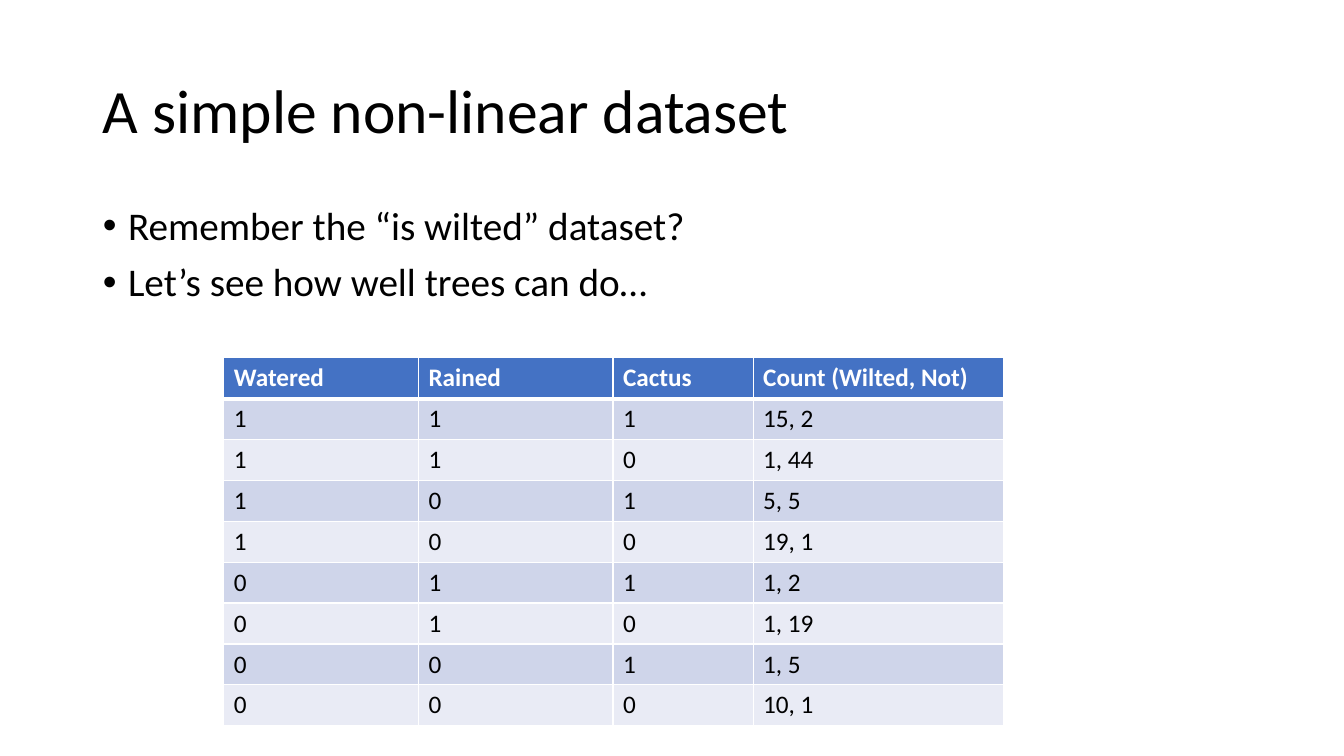
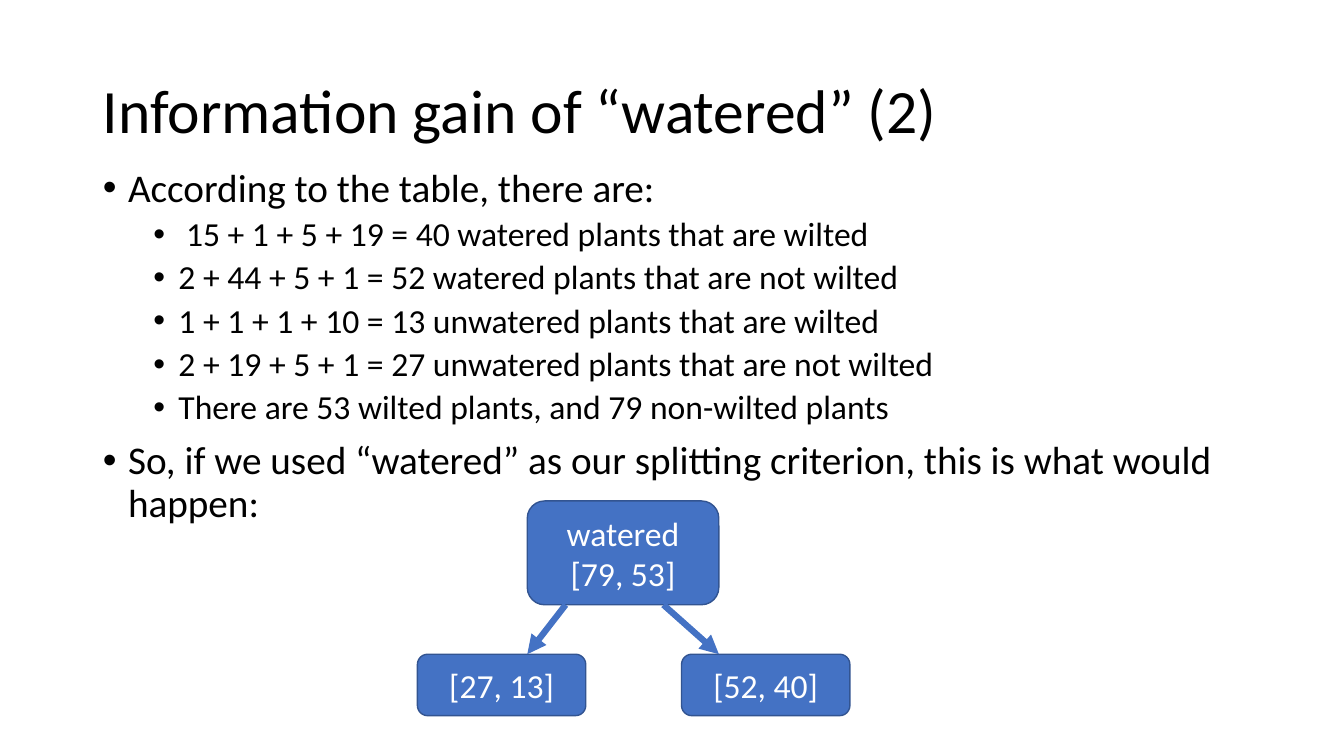
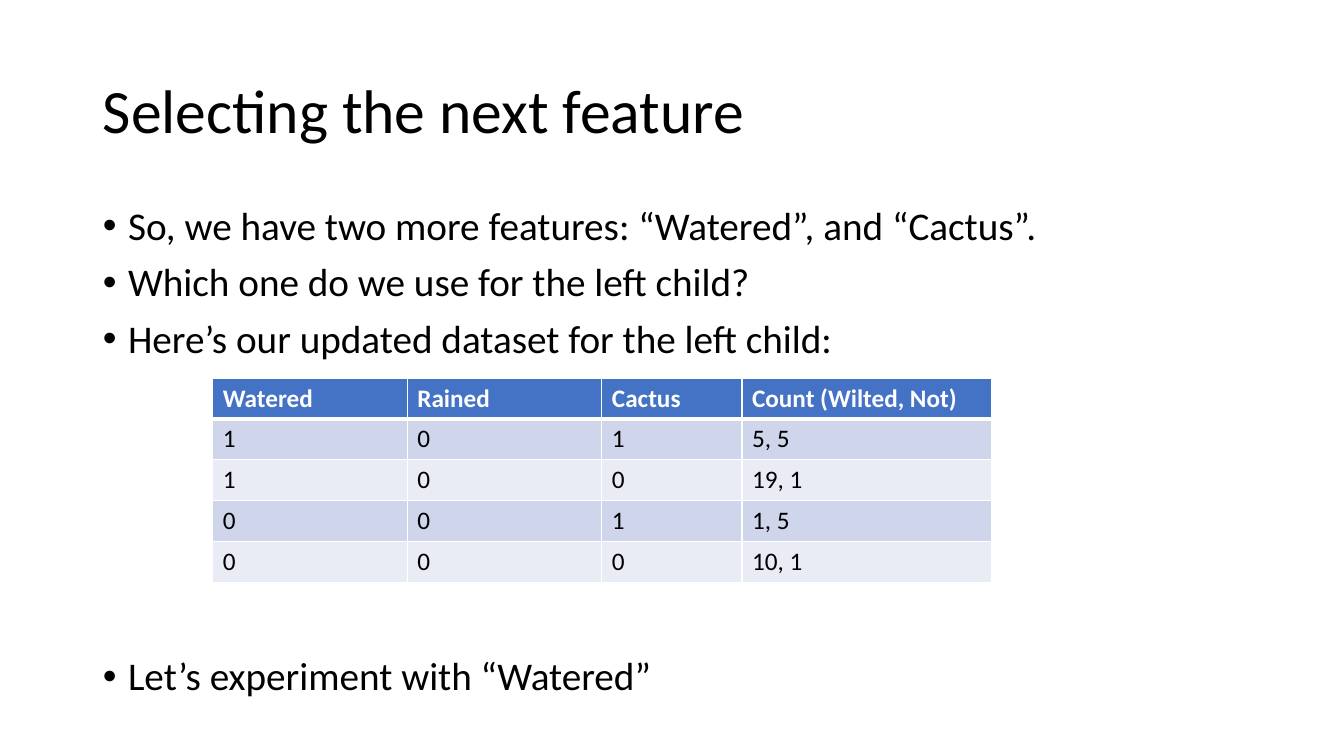
"""Build three slides on splitting the wilted-plant dataset with a decision tree."""
import pptx
import pptx.dml.color
import pptx.enum.shapes
import pptx.enum.text
import pptx.oxml
import pptx.oxml.ns
import pptx.util
from pptx.util import Inches, Pt

FONT = "Calibri"
BLACK, WHITE, BLUE, DARK_BLUE = "000000", "FFFFFF", "4472C4", "325491"
BANDS = ["CFD5EA", "E9EBF5"]
NAMESPACE = pptx.oxml.ns.nsdecls("a")


def color(hex_string):
    return pptx.dml.color.RGBColor.from_string(hex_string)


def style_text(paragraph, size, hex_string, bold=False):
    for run in paragraph.runs:
        run.font.name = FONT
        run.font.size = Pt(size)
        run.font.bold = bold
        run.font.color.rgb = color(hex_string)


deck = pptx.Presentation()
deck.slide_width = Inches(13.33)
deck.slide_height = Inches(7.5)

outlines = [
    ("A simple non-linear dataset", 2, 1.28, [
        (0, "Remember the “is wilted” dataset?"),
        (0, "Let’s see how well trees can do…"),
    ]),
    ("Information gain of “watered” (2)", 1.62, 3.69, [
        (0, "According to the table, there are:"),
        (1, " 15 + 1 + 5 + 19 = 40 watered plants that are wilted"),
        (1, "2 + 44 + 5 + 1 = 52 watered plants that are not wilted"),
        (1, "1 + 1 + 1 + 10 = 13 unwatered plants that are wilted"),
        (1, "2 + 19 + 5 + 1 = 27 unwatered plants that are not wilted"),
        (1, "There are 53 wilted plants, and 79 non-wilted plants"),
        (0, "So, if we used “watered” as our splitting criterion, this is what would happen:"),
    ]),
    ("Selecting the next feature", 2, 5.33, [
        (0, "So, we have two more features: “Watered”, and “Cactus”."),
        (0, "Which one do we use for the left child?"),
        (0, "Here’s our updated dataset for the left child:"),
        (0, "Let’s experiment with “Watered”"),
    ]),
]
level_sizes = [28, 24]
level_spacing = [10, 5]
level_indents = [0.25, 0.75]

slides = []
for heading, top, height, points in outlines:
    slide = deck.slides.add_slide(deck.slide_layouts[1])
    slides.append(slide)
    title, body = slide.placeholders
    for placeholder, y, h in [(title, 0.4, 1.45), (body, top, height)]:
        placeholder.left, placeholder.top = Inches(0.92), Inches(y)
        placeholder.width, placeholder.height = Inches(11.5), Inches(h)
        placeholder.text_frame.auto_size = pptx.enum.text.MSO_AUTO_SIZE.NONE

    title.text_frame.text = heading
    title_line = title.text_frame.paragraphs[0]
    title_line.alignment = pptx.enum.text.PP_ALIGN.LEFT
    title_line.line_spacing = 0.9
    style_text(title_line, 44, BLACK)

    body.text_frame.text = "\n".join(text for level, text in points)
    for point, (level, text) in zip(body.text_frame.paragraphs, points):
        point.level = level
        point.line_spacing = 0.9
        point.space_before = Pt(level_spacing[level])
        style_text(point, level_sizes[level], BLACK)
        properties = point._p.get_or_add_pPr()
        properties.set("marL", str(Inches(level_indents[level])))
        properties.set("indent", str(Inches(-0.25)))
        properties.append(pptx.oxml.parse_xml(f'<a:buFont {NAMESPACE} typeface="Arial"/>'))
        properties.append(pptx.oxml.parse_xml(f'<a:buChar {NAMESPACE} char="•"/>'))

dataset_slide, gain_slide, feature_slide = slides
feature_slide.placeholders[1].text_frame.paragraphs[-1].space_before = Pt(211)

header = ["Watered", "Rained", "Cactus", "Count (Wilted, Not)"]
dataset = [
    ["1", "1", "1", "15, 2"],
    ["1", "1", "0", "1, 44"],
    ["1", "0", "1", "5, 5"],
    ["1", "0", "0", "19, 1"],
    ["0", "1", "1", "1, 2"],
    ["0", "1", "0", "1, 19"],
    ["0", "0", "1", "1, 5"],
    ["0", "0", "0", "10, 1"],
]
left_child = [plants for plants in dataset if plants[1] == "0"]
column_widths = [1.93, 1.93, 1.39, 2.48]
row_height = Pt(29.2)

for slide, left, top, records in [
    (dataset_slide, 2.22, 3.55, dataset),
    (feature_slide, 2.11, 3.75, left_child),
]:
    rows = [header] + records
    counts = slide.shapes.add_table(
        len(rows), len(header), Inches(left), Inches(top),
        Inches(sum(column_widths)), row_height * len(rows)).table
    for column, width in zip(counts.columns, column_widths):
        column.width = Inches(width)
    for r, values in enumerate(rows):
        counts.rows[r].height = row_height
        edges = {"lnL": 1, "lnR": 1, "lnT": 3 if r == 1 else 1, "lnB": 3 if r == 0 else 1}
        for c, value in enumerate(values):
            cell = counts.cell(r, c)
            cell.text_frame.text = value
            style_text(cell.text_frame.paragraphs[0], 18, BLACK if r else WHITE, r == 0)
            cell.fill.solid()
            cell.fill.fore_color.rgb = color(BANDS[(r - 1) % 2] if r else BLUE)
            for position, (edge, points) in enumerate(edges.items()):
                cell._tc.get_or_add_tcPr().insert(position, pptx.oxml.parse_xml(
                    f'<a:{edge} {NAMESPACE} w="{Pt(points)}"><a:solidFill>'
                    f'<a:srgbClr val="{WHITE}"/></a:solidFill></a:{edge}>'))

for label, left, top, width, height in [
    ("watered\v[79, 53]", 5.23, 4.97, 1.9, 1.03),
    ("[52, 40]", 6.76, 6.49, 1.67, 0.61),
    ("[27, 13]", 4.14, 6.49, 1.67, 0.61),
]:
    node = gain_slide.shapes.add_shape(
        pptx.enum.shapes.MSO_SHAPE.ROUNDED_RECTANGLE,
        Inches(left), Inches(top), Inches(width), Inches(height))
    node.shadow.inherit = False
    node.fill.solid()
    node.fill.fore_color.rgb = color(BLUE)
    node.line.color.rgb = color(DARK_BLUE)
    node.line.width = Pt(1)
    node.text_frame.text = label
    node.text_frame.vertical_anchor = pptx.enum.text.MSO_ANCHOR.MIDDLE
    node.text_frame.paragraphs[0].alignment = pptx.enum.text.PP_ALIGN.CENTER
    style_text(node.text_frame.paragraphs[0], 24, WHITE)

for start, end in [(5.61, 5.23), (6.58, 7.13)]:
    branch = gain_slide.shapes.add_connector(
        pptx.enum.shapes.MSO_CONNECTOR.STRAIGHT,
        Inches(start), Inches(6), Inches(end), Inches(6.49))
    branch.line.color.rgb = color(BLUE)
    branch.line.width = Pt(4.5)
    branch.line._get_or_add_ln().append(
        pptx.oxml.parse_xml(f'<a:tailEnd {NAMESPACE} type="triangle"/>'))
    branch._element.spPr.append(pptx.oxml.parse_xml(f"<a:effectLst {NAMESPACE}/>"))

deck.save("out.pptx")
